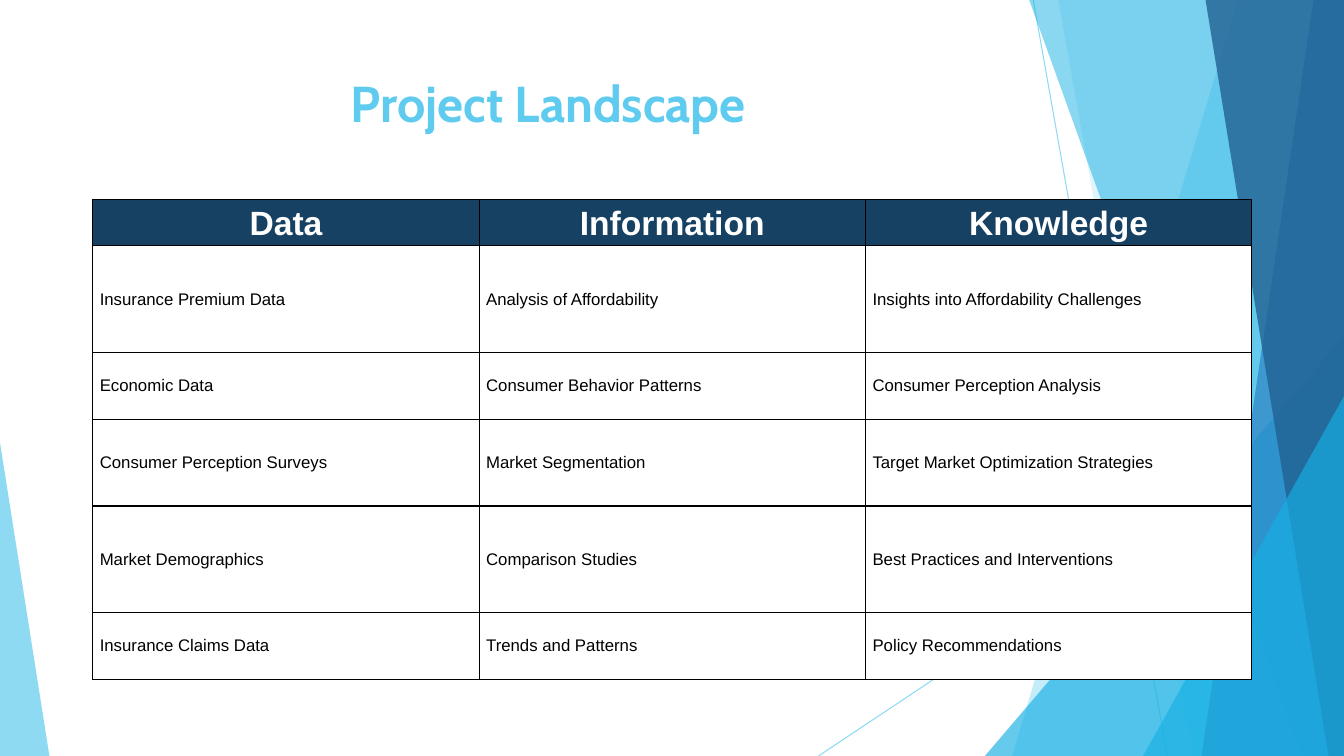
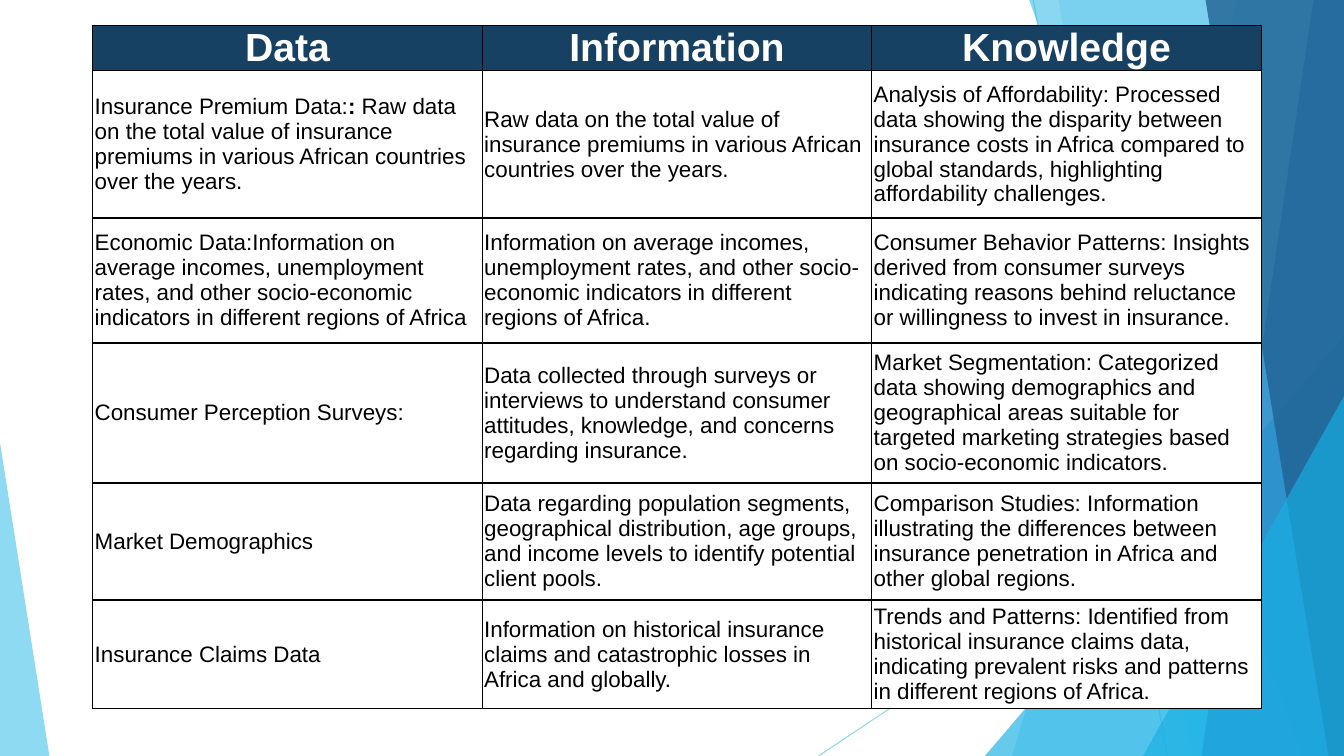
from lxml import etree
from pptx import Presentation
from pptx.dml.color import RGBColor
from pptx.enum.shapes import MSO_CONNECTOR, MSO_SHAPE
from pptx.enum.text import MSO_ANCHOR, PP_ALIGN
from pptx.oxml.ns import qn
from pptx.util import Inches, Pt

LINE = MSO_CONNECTOR.STRAIGHT
WEDGE = MSO_SHAPE.ISOSCELES_TRIANGLE
TOP, MID, LOW = MSO_ANCHOR.TOP, MSO_ANCHOR.MIDDLE, MSO_ANCHOR.BOTTOM
LEFT, CENTER = PP_ALIGN.LEFT, PP_ALIGN.CENTER

WIDE, HIGH = Inches(13.333), Inches(7.5)
HUES = {
    "sky": "5FCBEF", "aqua": "17B0E4", "blue": "2E83C3", "deep": "226292",
    "navy": "174162", "white": "FFFFFF", "black": "000000",
}
EDGE = 6.9  # left edge of both tables, in percent of the width

HEADS = ["Data", "Information", "Knowledge"]
BRIEF = [
    HEADS,
    ["Insurance Premium Data", "Analysis of Affordability",
     "Insights into Affordability Challenges"],
    ["Economic Data", "Consumer Behavior Patterns",
     "Consumer Perception Analysis"],
    ["Consumer Perception Surveys", "Market Segmentation",
     "Target Market Optimization Strategies"],
    ["Market Demographics", "Comparison Studies",
     "Best Practices and Interventions"],
    ["Insurance Claims Data", "Trends and Patterns",
     "Policy Recommendations"],
]
# A cell is a string, or a list of (text, bold) runs.
DETAIL = [
    HEADS,
    [[("Insurance Premium Data:", False), (":", True),
      (" Raw data on the total value of insurance premiums in various "
       "African countries over the years.", False)],
     "Raw data on the total value of insurance premiums in various African "
     "countries over the years.",
     "Analysis of Affordability: Processed data showing the disparity "
     "between insurance costs in Africa compared to global standards, "
     "highlighting affordability challenges."],
    ["Economic Data:Information on average incomes, unemployment rates, and "
     "other socio-economic indicators in different regions of Africa",
     "Information on average incomes, unemployment rates, and other "
     "socio-economic indicators in different regions of Africa.",
     "Consumer Behavior Patterns: Insights derived from consumer surveys "
     "indicating reasons behind reluctance or willingness to invest in "
     "insurance."],
    ["Consumer Perception Surveys:",
     "Data collected through surveys or interviews to understand consumer "
     "attitudes, knowledge, and concerns regarding insurance.",
     "Market Segmentation: Categorized data showing demographics and "
     "geographical areas suitable for targeted marketing strategies based "
     "on socio-economic indicators."],
    ["Market Demographics",
     "Data regarding population segments, geographical distribution, age "
     "groups, and income levels to identify potential client pools.",
     "Comparison Studies: Information illustrating the differences between "
     "insurance penetration in Africa and other global regions."],
    ["Insurance Claims Data",
     "Information on historical insurance claims and catastrophic losses in "
     "Africa and globally.",
     "Trends and Patterns: Identified from historical insurance claims "
     "data, indicating prevalent risks and patterns in different regions of "
     "Africa."],
]


def across(share):
    """Turn a percentage of the slide's width into a length."""
    return round(WIDE * share / 100)


def down(share):
    """Turn a percentage of the slide's height into a length."""
    return round(HIGH * share / 100)


def color(hue):
    """Look up a named colour."""
    return RGBColor.from_string(HUES[hue])


def fade(shape, alpha):
    """Set the opacity, in percent, of a shape's own colours."""
    for tint in shape.element.iter(qn("a:srgbClr")):
        etree.SubElement(tint, qn("a:alpha"), val=str(alpha * 1000))


def paint(shape, hue, alpha):
    """Fill a shape with a see-through colour and no outline."""
    shape.shadow.inherit = False
    shape.fill.solid()
    shape.fill.fore_color.rgb = color(hue)
    shape.line.fill.background()
    fade(shape, alpha)


def add_ray(slide, start, end):
    """Draw a thin line between two points."""
    ray = slide.shapes.add_connector(
        LINE, across(start[0]), down(start[1]), across(end[0]), down(end[1]))
    ray.line.color.rgb = color("sky")
    ray.line.width = Pt(0.75)
    etree.SubElement(ray.element.spPr, qn("a:effectLst"))
    fade(ray, 70)


def add_band(slide, head, foot, hue, alpha):
    """Draw a full-height band from a slanted side to the right edge."""
    pen = slide.shapes.build_freeform(across(head), 0, scale=1.0)
    pen.add_line_segments([(WIDE, 0), (WIDE, HIGH), (across(foot), HIGH)])
    paint(pen.convert_to_shape(), hue, alpha)


def add_wedge(slide, left, top, width, peak, hue, alpha):
    """Draw a triangle that stands on the slide's lower edge."""
    wedge = slide.shapes.add_shape(
        WEDGE, across(left), down(top), across(width), down(100 - top))
    wedge.adjustments[0] = peak
    paint(wedge, hue, alpha)


def add_decor(slide, master):
    """Draw the shared facets and move them to the slide master."""
    add_ray(slide, (76.88, 0), (86.85, 100))
    add_ray(slide, (100, 53.73), (60.9, 100))
    add_band(slide, 92.1, 75.3, "sky", 36)
    add_band(slide, 78.75, 88.73, "sky", 20)
    add_wedge(slide, 73.28, 44.4, 26.72, 1, "aqua", 66)
    add_band(slide, 76.58, 96.83, "aqua", 50)
    add_band(slide, 97.73, 89.4, "blue", 70)
    add_band(slide, 89.7, 98.85, "deep", 80)
    add_wedge(slide, 85.05, 52.4, 14.95, 1, "aqua", 66)
    add_wedge(slide, 0, 58.53, 3.68, 0, "sky", 70)
    facets = [s for s in slide.shapes if not s.is_placeholder]
    for num, facet in enumerate(facets, 100):
        facet.element.xpath(".//p:cNvPr")[0].set("id", str(num))
        master.shapes.element.append(facet.element)


def add_run(para, text, face, size, hue, bold):
    """Add one formatted run to a paragraph."""
    run = para.add_run()
    run.text = text
    run.font.name = face
    run.font.size = Pt(size)
    run.font.bold = bold
    run.font.color.rgb = color(hue)


def set_title(slide, text):
    """Place and format the title."""
    title = slide.shapes.title
    title.left, title.top = across(5.55), down(8.93)
    title.width, title.height = across(70.5), down(19.2)
    frame = title.text_frame
    frame.vertical_anchor = TOP
    para = frame.paragraphs[0]
    para.alignment = CENTER
    add_run(para, text, "Cabin", 36, "sky", True)


def add_rules(cell):
    """Rule all four sides of a cell in black."""
    props = cell._tc.get_or_add_tcPr()
    for side in ("lnL", "lnR", "lnT", "lnB"):
        rule = etree.SubElement(props, qn("a:" + side), w=str(Pt(1)))
        fill = etree.SubElement(rule, qn("a:solidFill"))
        etree.SubElement(fill, qn("a:srgbClr"), val=HUES["black"])


def fill_cell(cell, text, size, head, pad):
    """Format a cell and write its runs."""
    add_rules(cell)
    cell.fill.solid()
    cell.fill.fore_color.rgb = color("navy" if head else "white")
    cell.vertical_anchor = LOW if head else MID
    cell.margin_left = cell.margin_right = Inches(pad[0])
    cell.margin_top = cell.margin_bottom = Inches(pad[1])
    para = cell.text_frame.paragraphs[0]
    para.alignment = CENTER if head else LEFT
    hue = "white" if head else "black"
    runs = [(text, head)] if isinstance(text, str) else text
    for words, bold in runs:
        add_run(para, words, "Arial", size, hue, bold)


def add_grid(slide, data, top, width, rows, sizes, pad):
    """Add a table; sizes holds the text size of head and body."""
    count = len(data[0])
    grid = slide.shapes.add_table(
        len(data), count, across(EDGE), down(top),
        across(width), down(sum(rows))).table
    grid.first_row = grid.horz_banding = False
    for col in grid.columns:
        col.width = across(width / count)
    for i, line in enumerate(data):
        grid.rows[i].height = down(rows[i])
        for j, text in enumerate(line):
            fill_cell(grid.cell(i, j), text, sizes[min(i, 1)], i == 0, pad)


def main():
    """Build and save both slides."""
    deck = Presentation()
    deck.slide_width, deck.slide_height = WIDE, HIGH
    titled, blank = deck.slide_layouts[5], deck.slide_layouts[6]

    scope = deck.slides.add_slide(titled)
    add_decor(scope, deck.slide_master)
    set_title(scope, "Project Landscape")
    add_grid(scope, BRIEF, 26.4, 86.25,
             [6.13, 14.13, 8.8, 11.47, 14.13, 8.8], (24, 12), (0.07, 0.03))

    depth = deck.slides.add_slide(blank)
    add_grid(depth, DETAIL, 3.33, 86.94,
             [6, 19.47, 16.53, 18.53, 15.47, 14.4], (28, 16), (0.02, 0.01))

    deck.save("out.pptx")


main()
